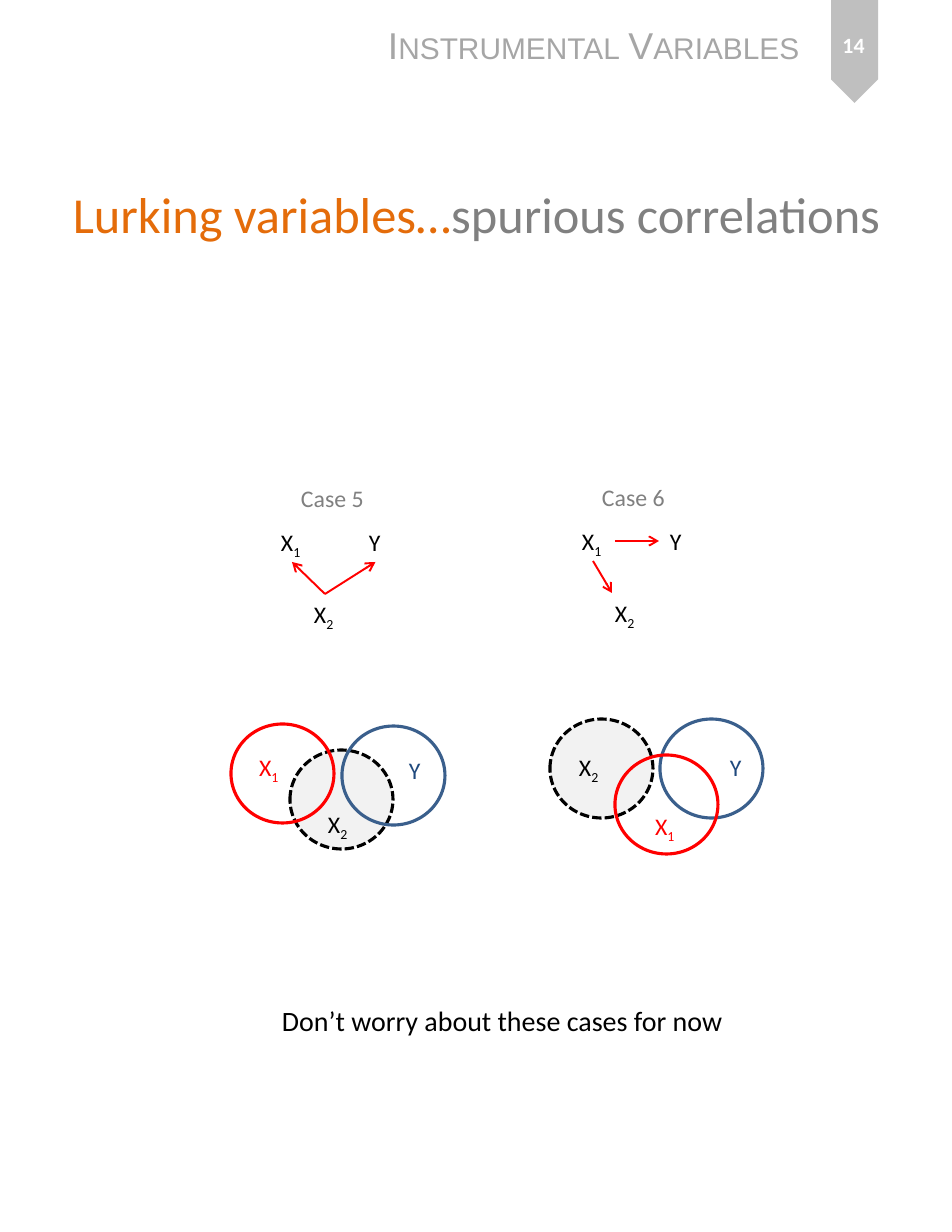
import pptx
import pptx.util
import pptx.dml.color
import pptx.enum.dml
import pptx.enum.shapes
import pptx.enum.text
import pptx.oxml.ns
import lxml.etree

PX = 914400 / 112
COLORS = {"red": "FF0000", "black": "000000", "grey": "808080", "orange": "E46C0A",
          "ring": "3A5F8C", "navy": "1F497D", "pale": "F2F2F2", "banner": "BFBFBF",
          "header": "A6A6A6", "white": "FFFFFF"}
TOP, LEFT, BOTTOM, RIGHT = range(4)  # connection sites
LABEL_SIZE, LABEL_HEIGHT = 15.3, 40
CIRCLE = (103, 99)

# Variable: letter, subscript, label colour, ring colour, label width in the circles
VARIABLES = {"X2": ("X", "2", "black", "black", 47),
             "Y": ("Y", "", "navy", "ring", 41),
             "X1": ("X", "1", "red", "red", 45)}

# Path diagram nodes: offset from the case origin, width
NODES = {"Y": (88, 0, 35), "X1": (0, 0, 44), "X2": (33, 72, 44)}
CASE_LABEL = (20, -44, 86)

# Arrow: start node and side, end node and side (or offset of a free end)
# Circle: circle left and top, label left and top
CASES = [
    {"title": "Case 5", "origin": (270, 522),
     "arrows": [("X2", TOP, "X1", BOTTOM), ("X2", TOP, "Y", BOTTOM)],
     "circles": {"X2": (290, 750, 317, 804), "Y": (342, 726, 398, 750),
                 "X1": (231, 724, 248, 747)}},
    {"title": "Case 6", "origin": (571, 521),
     "arrows": [("X1", RIGHT, "Y", LEFT), ("X1", BOTTOM, None, (41, 72))],
     "circles": {"X2": (550, 719, 568, 747), "Y": (660, 719, 719, 747),
                 "X1": (615, 755, 644, 806)}},
]


def px(*lengths):
    return [round(length * PX) for length in lengths]


def rgb(name):
    return pptx.dml.color.RGBColor.from_string(COLORS[name])


def add_text(slide, box, runs, size, font="Calibri", wrap=False, grow=True, centred=False):
    """Add a text box; runs are (text, colour, extra run attributes)."""
    text_box = slide.shapes.add_textbox(*px(*box))
    frame = text_box.text_frame
    frame.word_wrap = wrap
    if grow:
        frame.auto_size = pptx.enum.text.MSO_AUTO_SIZE.SHAPE_TO_FIT_TEXT
    paragraph = frame.paragraphs[0]
    if centred:
        frame.vertical_anchor = pptx.enum.text.MSO_ANCHOR.MIDDLE
        paragraph.alignment = pptx.enum.text.PP_ALIGN.CENTER
    for text, color, extra in runs:
        run = paragraph.add_run()
        run.text = text
        run.font.size = pptx.util.Pt(size)
        run.font.name = font
        run.font.color.rgb = rgb(color)
        for key, value in extra.items():
            run.font._element.set(key, value)
    return text_box


def add_variable(slide, name, left, top, width, color, wrap=False):
    letter, subscript = VARIABLES[name][:2]
    runs = [(letter, color, {})]
    if subscript:
        runs.append((subscript, color, {"baseline": "-25000"}))
    return add_text(slide, (left, top, width, LABEL_HEIGHT), runs, LABEL_SIZE, wrap=wrap)


def add_arrow(slide, start, start_side, end, end_side, free_end):
    arrow = slide.shapes.add_connector(
        pptx.enum.shapes.MSO_CONNECTOR.STRAIGHT, 0, 0, *px(*free_end))
    arrow.begin_connect(start, start_side)
    if end is not None:
        arrow.end_connect(end, end_side)
    arrow.line.color.rgb = rgb("red")
    arrow.line.width = pptx.util.Pt(1.25)
    line = arrow.line._get_or_add_ln()
    lxml.etree.SubElement(line, pptx.oxml.ns.qn("a:tailEnd"), type="arrow")
    lxml.etree.SubElement(line.getparent(), pptx.oxml.ns.qn("a:effectLst"))


def add_circle(slide, name, left, top):
    circle = slide.shapes.add_shape(
        pptx.enum.shapes.MSO_SHAPE.OVAL, *px(left, top, *CIRCLE))
    circle.shadow.inherit = False
    circle.line.color.rgb = rgb(VARIABLES[name][3])
    circle.line.width = pptx.util.Pt(2)
    if name == "X2":
        circle.fill.solid()
        circle.fill.fore_color.rgb = rgb("pale")
        circle.line.dash_style = pptx.enum.dml.MSO_LINE.SQUARE_DOT
    else:
        circle.fill.background()


def add_paths(slide, case):
    x, y = case["origin"]
    nodes = {name: add_variable(slide, name, x + dx, y + dy, width, "black")
             for name, (dx, dy, width) in NODES.items()}
    for start, start_side, end, target in case["arrows"]:
        free_end = (0, 0) if end else (x + target[0], y + target[1])
        add_arrow(slide, nodes[start], start_side, nodes.get(end), target, free_end)
    dx, dy, width = CASE_LABEL
    add_text(slide, (x + dx, y + dy, width, LABEL_HEIGHT),
             [(case["title"], "grey", {})], LABEL_SIZE)


def add_circles(slide, case):
    for name, (left, top, _, _) in case["circles"].items():
        add_circle(slide, name, left, top)
    for name, (_, _, left, top) in case["circles"].items():
        color, _, width = VARIABLES[name][2:]
        add_variable(slide, name, left, top, width, color, wrap=True)


def add_header(slide):
    banner = slide.shapes.add_shape(
        pptx.enum.shapes.MSO_SHAPE.PENTAGON, *px(803, 28, 103, 47))
    banner.rotation = 90
    banner.shadow.inherit = False
    banner.fill.solid()
    banner.fill.fore_color.rgb = rgb("banner")
    banner.line.fill.background()
    add_text(slide, (377, 17, 436, 56),
             [("Instrumental Variables", "header", {"cap": "small"})], 24, font="Arial")
    title = add_text(slide, (48, 142, 857, 205),
                     [("Lurking variables…", "orange", {}),
                      ("spurious correlations", "grey", {})],
                     32.4, wrap=True, grow=False, centred=True)
    title.text_frame.margin_bottom = px(67)[0]  # lifts the title above the middle
    add_text(slide, (816, 12, 75, 66), [("14", "white", {"b": "1"})], 14,
             wrap=True, grow=False, centred=True)


def main():
    deck = pptx.Presentation()
    deck.slide_width, deck.slide_height = px(952, 1232)
    slide = deck.slides.add_slide(deck.slide_layouts[6])
    add_header(slide)
    for case in CASES:
        add_paths(slide, case)
    for case in CASES:
        add_circles(slide, case)
    add_text(slide, (271, 998, 468, 45),
             [("Don’t worry about these cases for now", "black", {})], 18)
    deck.save("out.pptx")


if __name__ == "__main__":
    main()
